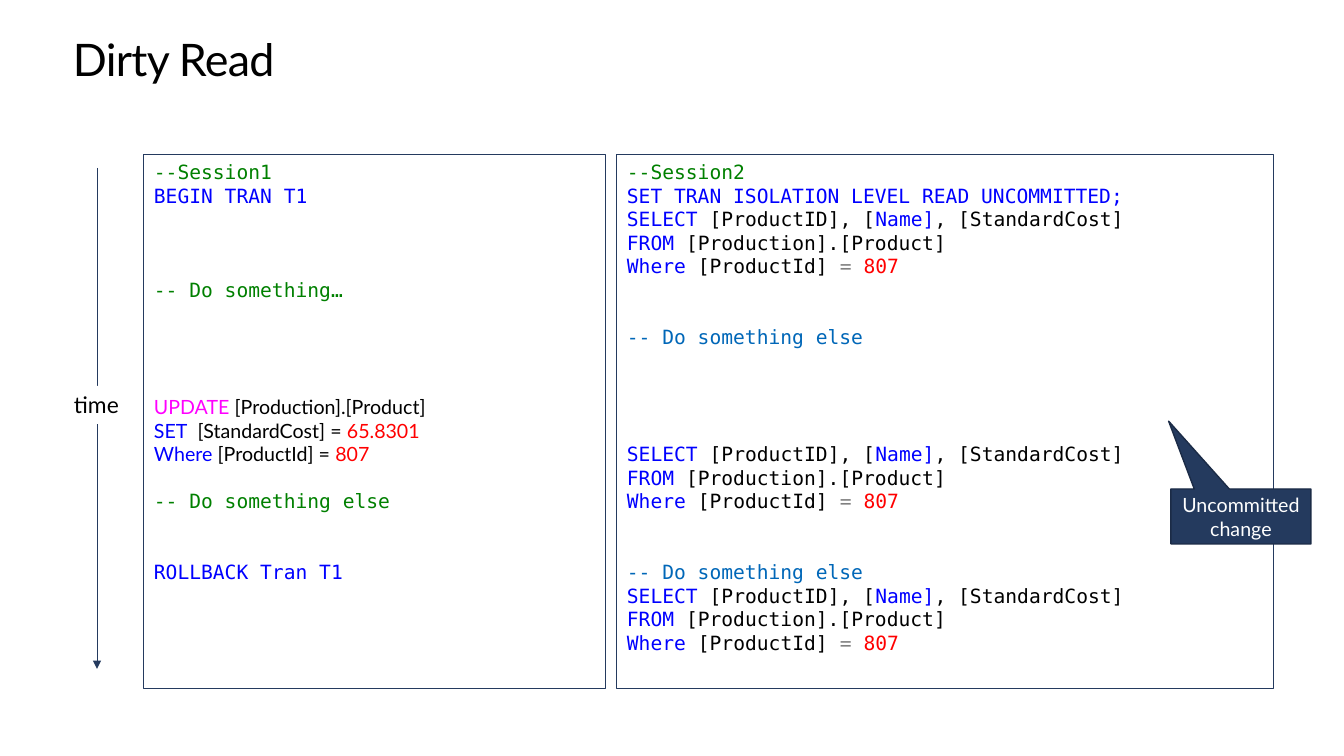
from collections import namedtuple

from lxml.etree import SubElement
from pptx import Presentation
from pptx.dml.color import RGBColor
from pptx.enum.shapes import MSO_CONNECTOR, MSO_SHAPE
from pptx.enum.text import MSO_ANCHOR, PP_ALIGN
from pptx.oxml.ns import qn
from pptx.util import Emu, Pt

SANS, MONO = "Lato", "DejaVu Sans Mono"
NAVY, DARK_NAVY, WHITE, BLACK = "243A5E", "1B2B46", "FFFFFF", "000000"
GREEN, BLUE, SKY, RED = "008000", "0000FF", "0067B8", "FF0000"
MAGENTA, GRAY = "FF00FF", "808080"
LINE_POINTS = 16.8

# gap counts the empty rows above a line of code
Line = namedtuple("Line", "runs gap font", defaults=(0, MONO))


def px(length):
    return Emu(round(length * 914400 / 100.8))


def rgb(value):
    return RGBColor.from_string(value)


def write(shape, lines, size=14, align=PP_ALIGN.LEFT, anchor=MSO_ANCHOR.TOP,
          wrap=True, line_points=None, inset=None, tracking=None):
    frame = shape.text_frame
    frame.word_wrap = wrap
    frame.vertical_anchor = anchor
    if inset is not None:
        frame.margin_left = frame.margin_right = px(inset)
        frame.margin_top = frame.margin_bottom = px(inset)
    for index, line in enumerate(lines):
        paragraph = frame.add_paragraph() if index else frame.paragraphs[0]
        paragraph.alignment = align
        if line_points:
            paragraph.line_spacing = Pt(line_points)
        if line.gap:
            paragraph.space_before = Pt(line.gap * LINE_POINTS)
        for text, color in line.runs:
            run = paragraph.add_run()
            run.text = text
            run.font.name = line.font
            run.font.size = Pt(size)
            run.font.color.rgb = rgb(color)
            if tracking:
                run._r.get_or_add_rPr().set("spc", str(tracking))


def add_box(slide, box, fill=None, line=None, width=0.75, kind=MSO_SHAPE.RECTANGLE):
    shape = slide.shapes.add_shape(kind, *map(px, box))
    shape.shadow.inherit = False
    if fill:
        shape.fill.solid()
        shape.fill.fore_color.rgb = rgb(fill)
    else:
        shape.fill.background()
    if line:
        shape.line.color.rgb = rgb(line)
        shape.line.width = Pt(width)
    else:
        shape.line.fill.background()
    return shape


def add_title(slide, box):
    title = slide.shapes.add_textbox(*map(px, box))
    write(title, [Line([("Dirty Read", BLACK)], font=SANS)], size=32,
          line_points=36.2, inset=0, tracking=-50)


def add_time_axis(slide, box):
    left, top, width, height = box
    center = left + width / 2
    axis = slide.shapes.add_connector(
        MSO_CONNECTOR.STRAIGHT, px(center), px(top), px(center), px(top + height))
    axis.line.color.rgb = rgb(NAVY)
    axis.line.width = Pt(0.5)
    SubElement(axis.line._get_or_add_ln(), qn("a:tailEnd"), type="triangle")
    SubElement(axis._element.spPr, qn("a:effectLst"))
    label = add_box(slide, (left, top + 218, width, 38), fill=WHITE)
    write(label, [Line([("time", BLACK)], font=SANS)], size=16.3, wrap=False)


def add_session(slide, box, lines):
    panel = add_box(slide, box, line=NAVY)
    write(panel, lines, line_points=LINE_POINTS)


def add_callout(slide, box):
    callout = add_box(slide, box, fill=NAVY, line=DARK_NAVY, width=1,
                      kind=MSO_SHAPE.RECTANGULAR_CALLOUT)
    callout.adjustments[0] = -0.517
    callout.adjustments[1] = -1.734
    write(callout, [Line([("Uncommitted change", WHITE)], font=SANS)],
          align=PP_ALIGN.CENTER, anchor=MSO_ANCHOR.MIDDLE)


def select_product(gap=0):
    return [
        Line([("SELECT", BLUE), (" [ProductID], [", BLACK), ("Name]", BLUE),
              (", [StandardCost]", BLACK)], gap),
        Line([("FROM", BLUE), (" [Production].[Product]", BLACK)]),
        Line([("Where", BLUE), (" [ProductId] ", BLACK), ("= ", GRAY), ("807", RED)]),
    ]


def build_dirty_read(slide):
    session1 = [
        Line([("--Session1", GREEN)]),
        Line([("BEGIN TRAN T1", BLUE)]),
        Line([("-- Do something…", GREEN)], 3),
        Line([("UPDATE", MAGENTA), (" [Production].[Product]", BLACK)], 4, SANS),
        Line([("SET", BLUE), ("  [StandardCost] = ", BLACK), ("65.8301", RED)], font=SANS),
        Line([("Where", BLUE), (" [ProductId] = ", BLACK), ("807", RED)], font=SANS),
        Line([("-- Do something else", GREEN)], 1),
        Line([("ROLLBACK Tran T1", BLUE)], 2),
    ]
    something_else = Line([("-- Do something else", SKY)], 2)
    session2 = [
        Line([("--Session2", GREEN)]),
        Line([("SET TRAN ISOLATION LEVEL READ UNCOMMITTED;", BLUE)]),
        *select_product(),
        something_else,
        *select_product(gap=4),
        something_else,
        *select_product(),
    ]
    add_title(slide, (73, 35, 1200, 50))
    add_time_axis(slide, (64, 168, 66, 501))
    add_session(slide, (144, 155, 462, 534), session1)
    add_session(slide, (617, 155, 657, 534), session2)
    add_callout(slide, (1171, 489, 140, 55))


def main():
    presentation = Presentation()
    presentation.slide_width, presentation.slide_height = px(1344), px(756)
    build_dirty_read(presentation.slides.add_slide(presentation.slide_layouts[6]))
    presentation.save("out.pptx")


if __name__ == "__main__":
    main()
